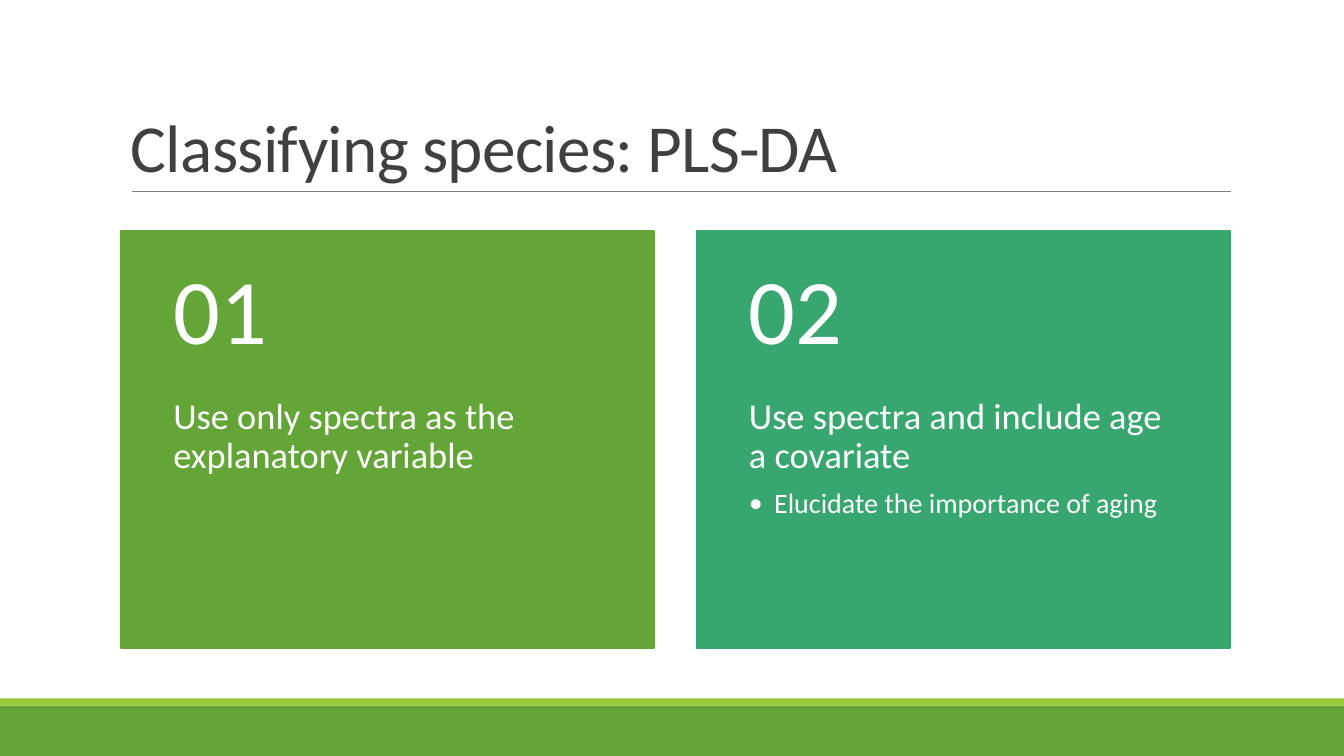
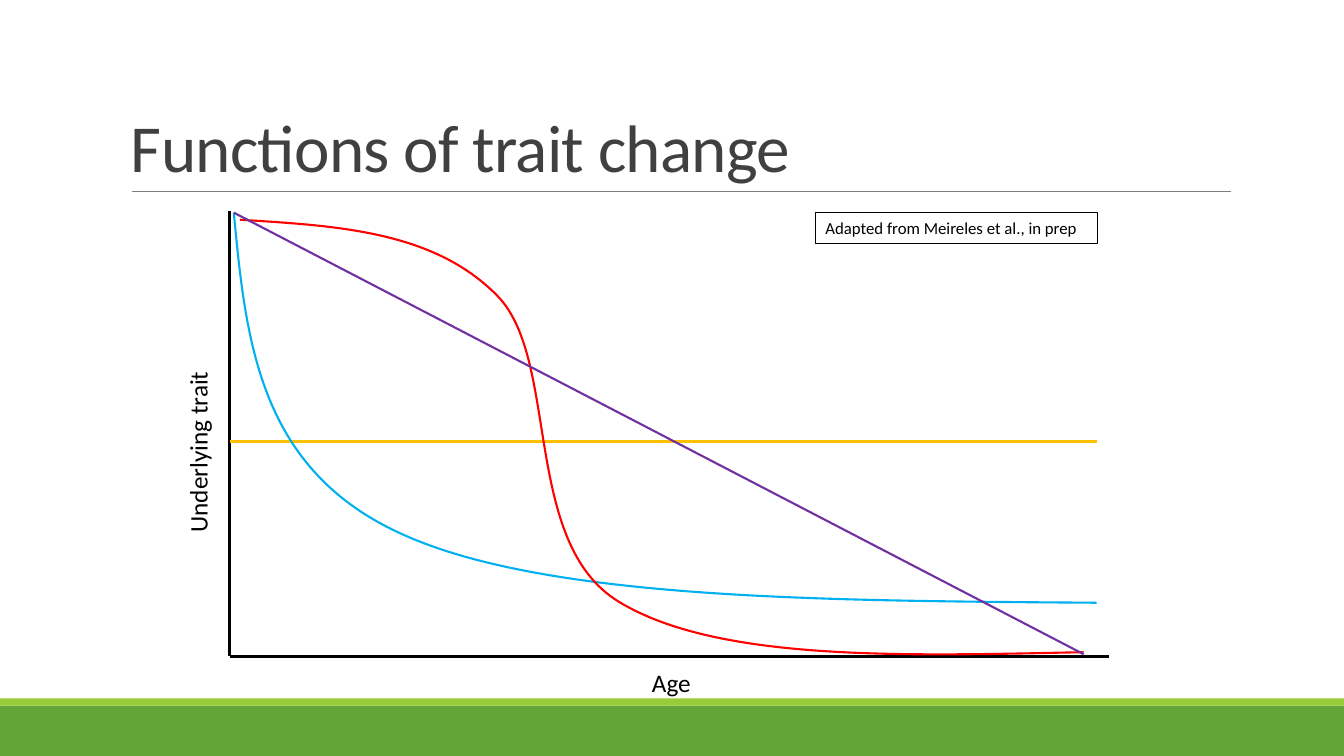
from dataclasses import dataclass

from lxml import etree
from pptx import Presentation
from pptx.dml.color import RGBColor
from pptx.enum.shapes import MSO_CONNECTOR, MSO_SHAPE
from pptx.enum.text import MSO_ANCHOR, PP_ALIGN
from pptx.oxml.ns import qn
from pptx.util import Inches, Pt

RECT = MSO_SHAPE.RECTANGLE
STRAIGHT = MSO_CONNECTOR.STRAIGHT
TOP, MIDDLE, BOTTOM = MSO_ANCHOR.TOP, MSO_ANCHOR.MIDDLE, MSO_ANCHOR.BOTTOM
LEFT = PP_ALIGN.LEFT

Point = tuple[float, float]
Box = tuple[float, float, float, float]


@dataclass(frozen=True)
class Theme:
    font: str = "Calibri"
    green: str = "63A537"
    lime: str = "99CB38"
    teal: str = "37A76F"
    rule: str = "808080"
    title: str = "404040"
    white: str = "FFFFFF"
    black: str = "000000"
    gold: str = "FFC000"
    blue: str = "00B0F0"
    red: str = "FF0000"
    purple: str = "7030A0"
    title_size: float = 48
    number_size: float = 66
    body_size: float = 26
    bullet_size: float = 20
    label_size: float = 18
    note_size: float = 12


@dataclass(frozen=True)
class Para:
    text: str
    size: float
    color: str
    line_spacing: float = 1.0
    space_after: float = 0
    tracking: float = 0
    bullet: bool = False


@dataclass(frozen=True)
class Card:
    number: str
    text: str
    color: str
    bullets: tuple[str, ...] = ()


@dataclass(frozen=True)
class Line:
    start: Point
    end: Point
    color: str
    width: float


@dataclass(frozen=True)
class Curve:
    """A chain of cubic Beziers: a start, then two controls and an end each."""
    points: tuple[Point, ...]
    height: float
    color: str


T = Theme()
SLIDE_W, SLIDE_H = 40 / 3, 7.5
DEFAULT_INSETS = (0.1, 0.05, 0.1, 0.05)
CURVE_WIDTH = 1.5
AXIS_WIDTH = 2.25

CARD_LEFT, CARD_TOP, CARD_W, CARD_H = 1.2, 2.29, 5.29, 4.14
CARD_GAP = 0.42
NUMBER_H = 1.66
CARD_INSET, CARD_PAD = 0.52, 0.18

CARDS = (
    Card("01", "Use only spectra as the explanatory variable", T.green),
    Card("02", "Use spectra and include age a covariate", T.teal,
         ("Elucidate the importance of aging",)),
)

ORIGIN = (2.28, 6.51)
AXES_AND_CONSTANT = (
    Line((2.28, 2.09), ORIGIN, T.black, AXIS_WIDTH),
    Line(ORIGIN, (11, 6.51), T.black, AXIS_WIDTH),
    Line((2.28, 4.38), (10.88, 4.38), T.gold, CURVE_WIDTH),
)
LINEAR_DECLINE = Line((2.32, 2.11), (10.75, 6.49), T.purple, CURVE_WIDTH)
CURVES = (
    Curve(((2.32, 2.11), (2.44, 3.39), (2.57, 4.66), (3.99, 5.3),
           (5.42, 5.95), (8.15, 5.96), (10.88, 5.98)), 3.87, T.blue),
    Curve(((2.38, 2.18), (3.34, 2.24), (4.3, 2.29), (4.93, 2.93),
           (5.56, 3.56), (5.17, 5.38), (6.14, 5.97),
           (7.11, 6.56), (8.93, 6.51), (10.75, 6.47)), 4.32, T.red),
)


def rgb(color: str) -> RGBColor:
    return RGBColor.from_string(color)


def set_line(line, color: str, width: float) -> None:
    line.color.rgb = rgb(color)
    line.width = Pt(width)


def add_bullet(p) -> None:
    pPr = p._p.get_or_add_pPr()
    pPr.set("marL", str(Inches(0.25)))
    pPr.set("indent", str(Inches(-0.25)))
    etree.SubElement(pPr, qn("a:buFont")).set("typeface", T.font)
    etree.SubElement(pPr, qn("a:buChar")).set("char", "•")


def write(tf, paras: list[Para], anchor=TOP, insets: Box = DEFAULT_INSETS) -> None:
    left, top, right, bottom = map(Inches, insets)
    frame = {"word_wrap": True, "vertical_anchor": anchor, "margin_left": left,
             "margin_top": top, "margin_right": right, "margin_bottom": bottom}
    for name, value in frame.items():
        setattr(tf, name, value)
    for i, para in enumerate(paras):
        p = tf.add_paragraph() if i else tf.paragraphs[0]
        layout = {"alignment": LEFT, "line_spacing": para.line_spacing,
                  "space_after": Pt(para.space_after)}
        for name, value in layout.items():
            setattr(p, name, value)
        if para.bullet:
            add_bullet(p)
        r = p.add_run()
        r.text = para.text
        for name, value in {"name": T.font, "size": Pt(para.size)}.items():
            setattr(r.font, name, value)
        r.font.color.rgb = rgb(para.color)
        if para.tracking:
            r._r.get_or_add_rPr().set("spc", str(round(para.tracking * 100)))


def add_text(s, box: Box, paras: list[Para], anchor=TOP,
             insets: Box = DEFAULT_INSETS, rotation: float = 0) -> None:
    sp = s.shapes.add_textbox(*map(Inches, box))
    sp.rotation = rotation
    write(sp.text_frame, paras, anchor, insets)


def add_rect(s, box: Box, fill: str | None = None, line: str | None = None,
             width: float = 1.25):
    sp = s.shapes.add_shape(RECT, *map(Inches, box))
    sp.shadow.inherit = False
    if fill:
        sp.fill.solid()
        sp.fill.fore_color.rgb = rgb(fill)
    else:
        sp.fill.background()
    if line:
        set_line(sp.line, line, width)
    else:
        sp.line.fill.background()
    return sp


def add_line(s, line: Line) -> None:
    c = s.shapes.add_connector(STRAIGHT, *map(Inches, line.start + line.end))
    set_line(c.line, line.color, line.width)
    etree.SubElement(c._element.spPr, qn("a:effectLst"))


def add_curve(s, curve: Curve) -> None:
    """Join the end points with a freeform, then bend each segment."""
    pts = [(Inches(x), Inches(y)) for x, y in curve.points]
    builder = s.shapes.build_freeform(*pts[0])
    builder.add_line_segments(pts[3::3], close=False)
    sp = builder.convert_to_shape()
    outline = sp._element.spPr.find(".//" + qn("a:path"))
    for i, segment in enumerate(outline.findall(qn("a:lnTo"))):
        bend = etree.Element(qn("a:cubicBezTo"))
        for x, y in pts[3 * i + 1:3 * i + 4]:
            pt = etree.SubElement(bend, qn("a:pt"))
            pt.set("x", str(x - sp.left))
            pt.set("y", str(y - sp.top))
        outline.replace(segment, bend)
    sp.height = Inches(curve.height)
    outline.set("h", str(sp.height))
    sp.shadow.inherit = False
    sp.fill.background()
    set_line(sp.line, curve.color, CURVE_WIDTH)


def add_slide(prs, title: str):
    """Add a blank slide with the shared bands, rule and title."""
    s = prs.slides.add_slide(prs.slide_layouts[6])
    add_rect(s, (0, 7, SLIDE_W, 0.5), T.green)
    add_rect(s, (0, 6.93, SLIDE_W, 0.07), T.lime)
    add_line(s, Line((1.31, 1.9), (12.21, 1.9), T.rule, 0.5))
    add_text(s, (1.2, 0.31, 11, 1.59),
             [Para(title, T.title_size, T.title, 0.85, tracking=-0.5)], BOTTOM)
    return s


def add_card(s, card: Card, left: float) -> None:
    add_rect(s, (left, CARD_TOP, CARD_W, CARD_H), card.color, card.color)
    body = [Para(card.text, T.body_size, T.white, 0.9, 9)]
    body += [Para(text, T.bullet_size, T.white, 0.9, 3, bullet=True)
             for text in card.bullets]
    add_text(s, (left, CARD_TOP + NUMBER_H, CARD_W, CARD_H - NUMBER_H), body,
             insets=(CARD_INSET, 0, CARD_INSET, 2 * CARD_PAD))
    add_text(s, (left, CARD_TOP, CARD_W, NUMBER_H),
             [Para(card.number, T.number_size, T.white, 0.9)], MIDDLE,
             (CARD_INSET, CARD_PAD, CARD_INSET, CARD_PAD))


def build_classifying(prs) -> None:
    s = add_slide(prs, "Classifying species: PLS-DA")
    for i, card in enumerate(CARDS):
        add_card(s, card, CARD_LEFT + i * (CARD_W + CARD_GAP))


def build_trait_change(prs) -> None:
    s = add_slide(prs, "Functions of trait change")
    for line in AXES_AND_CONSTANT:
        add_line(s, line)
    for curve in CURVES:
        add_curve(s, curve)
    add_text(s, (0.96, 4.18, 2, 0.4),
             [Para("Underlying trait", T.label_size, T.black)], rotation=270)
    add_text(s, (6.37, 6.57, 3, 0.4), [Para("Age", T.label_size, T.black)])
    add_line(s, LINEAR_DECLINE)
    note = add_rect(s, (8.09, 2.11, 2.79, 0.3), line=T.black, width=0.25)
    write(note.text_frame,
          [Para("Adapted from Meireles et al., in prep", T.note_size, T.black)])


def main() -> None:
    prs = Presentation()
    prs.slide_width, prs.slide_height = Inches(SLIDE_W), Inches(SLIDE_H)
    build_classifying(prs)
    build_trait_change(prs)
    prs.save("out.pptx")


if __name__ == "__main__":
    main()
